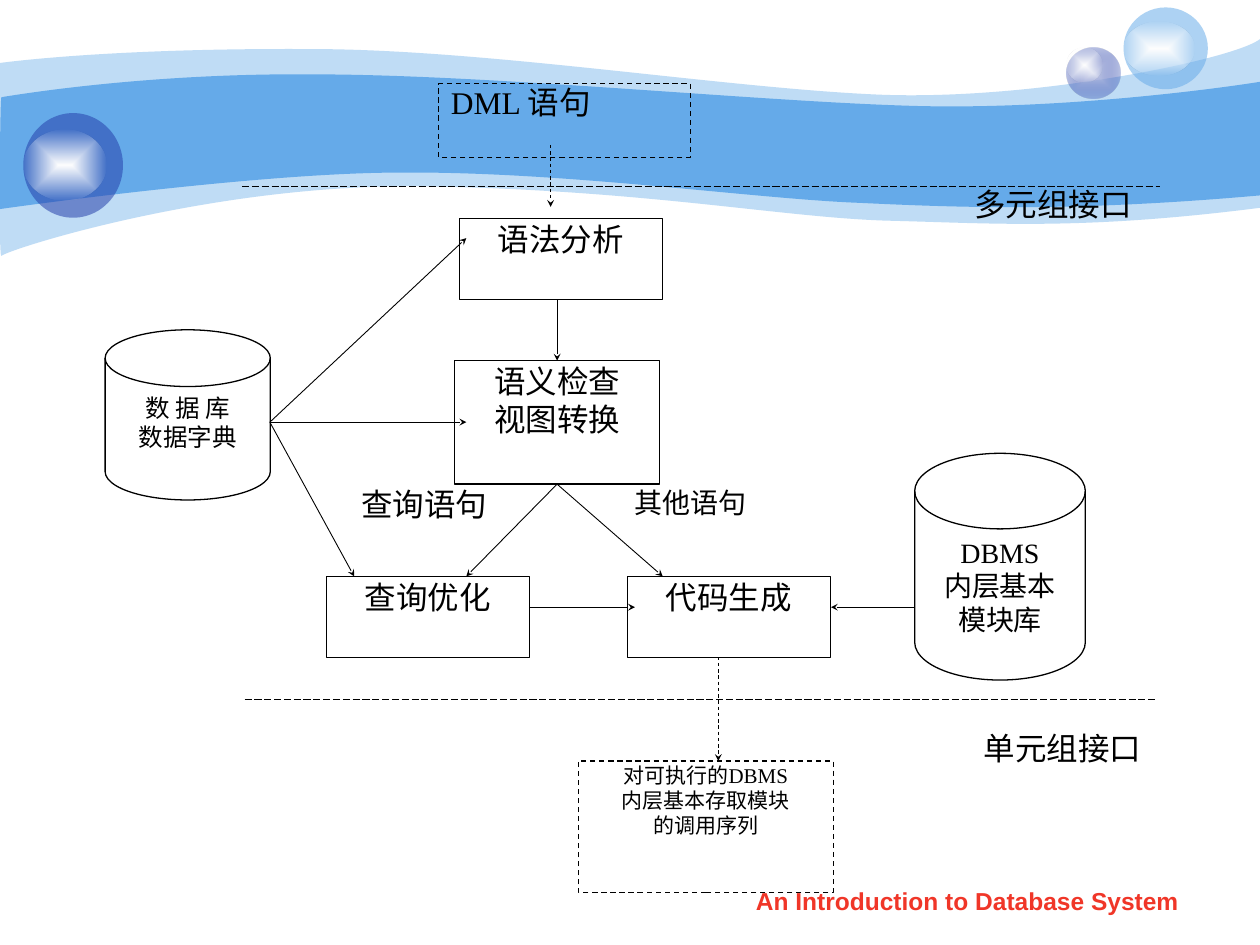
import pptx
import pptx.dml.color
import pptx.enum.dml
import pptx.enum.shapes
import pptx.enum.text
import pptx.oxml
import pptx.oxml.ns
import pptx.util

Cm = pptx.util.Cm
Pt = pptx.util.Pt
qn = pptx.oxml.ns.qn
SHAPE = pptx.enum.shapes.MSO_SHAPE
DASH = pptx.enum.dml.MSO_LINE.DASH
LONG_DASH = pptx.enum.dml.MSO_LINE.LONG_DASH
CENTER = pptx.enum.text.PP_ALIGN.CENTER
JUSTIFY = pptx.enum.text.PP_ALIGN.JUSTIFY
NAMESPACE = pptx.oxml.ns.nsdecls("a")

BLACK, WHITE, SKY, NAVY, RED = "000000", "FFFFFF", "65AAE9", "233DA9", "F03628"

OUTER_WAVE = [
    [(0, 1.27)],
    [(0.61, 1.19), (2.72, 0.97), (6.27, 0.99)],
    [(9.8, 0.99), (14.61, 1.78), (17.75, 1.91)],
    [(20.88, 2.03), (24.89, 1.19), (25.4, 0.79)],
    [(25.4, 4.19)],
    [(21.79, 4.65), (19.99, 4.5), (17.91, 4.45)],
    [(15.8, 4.39), (13.08, 3.84), (8.71, 3.76)],
    [(4.37, 3.66), (0.1, 5.05), (0.03, 5.16)],
    [(-0.03, 5.28), (0, 1.91), (0, 1.27)],
]
INNER_WAVE = [
    [(0.03, 1.96)],
    [(0.05, 1.96), (2.79, 1.47), (6.3, 1.5)],
    [(9.8, 1.5), (15.11, 2.03), (18.24, 2.13)],
    [(21.36, 2.24), (24.79, 1.75), (25.4, 1.65)],
    [(25.4, 3.94)],
    [(21.67, 4.27), (19.43, 4.19), (17.32, 4.09)],
    [(15.21, 4.01), (11.35, 3.45), (8.05, 3.48)],
    [(5.16, 3.48), (-0.05, 4.22), (-0.03, 4.22)],
    [(0, 4.22), (0, 1.96), (0.03, 1.96)],
]


def rgb(color):
    return pptx.dml.color.RGBColor.from_string(color)


def apply_format(target, values):
    for name, value in values.items():
        setattr(target, name, value)


def fill_solid(shape, color, opacity=100):
    shape.fill.solid()
    shape.fill.fore_color.rgb = rgb(color)
    if opacity < 100:
        tint = shape._element.spPr.find(qn("a:solidFill")).find(qn("a:srgbClr"))
        tint.append(pptx.oxml.parse_xml(f'<a:alpha {NAMESPACE} val="{opacity * 1000}"/>'))


def fill_glow(shape, center, edge, edge_opacity):
    glow = pptx.oxml.parse_xml(
        f'<a:gradFill {NAMESPACE} rotWithShape="1"><a:gsLst>'
        f'<a:gs pos="0"><a:srgbClr val="{center}"/></a:gs>'
        f'<a:gs pos="100000"><a:srgbClr val="{edge}">'
        f'<a:alpha val="{edge_opacity * 1000}"/></a:srgbClr></a:gs></a:gsLst>'
        '<a:path path="rect"><a:fillToRect l="50000" t="50000" r="50000" b="50000"/>'
        '</a:path></a:gradFill>')
    shape._element.spPr.find(qn("a:prstGeom")).addnext(glow)


def add_wave(slide, segments, opacity=100):
    anchors = [(Cm(x), Cm(y)) for x, y in (segment[-1] for segment in segments)]
    builder = slide.shapes.build_freeform(*anchors[0])
    builder.add_line_segments(anchors[1:], close=True)
    wave = builder.convert_to_shape()
    edges = list(wave._element.iter(qn("a:lnTo")))
    for edge, segment in zip(edges, segments[1:]):
        if len(segment) == 3:
            points = "".join(f'<a:pt x="{Cm(x) - wave.left}" y="{Cm(y) - wave.top}"/>'
                             for x, y in segment)
            curve = pptx.oxml.parse_xml(
                f"<a:cubicBezTo {NAMESPACE}>{points}</a:cubicBezTo>")
            edge.getparent().replace(edge, curve)
    fill_solid(wave, SKY, opacity)
    wave.line.fill.background()
    wave.shadow.inherit = False


def add_disc(group, place):
    disc = group.shapes.add_shape(SHAPE.OVAL, *map(Cm, place))
    disc.line.fill.background()
    disc.shadow.inherit = False
    return disc


def add_sphere(slide, ball, highlight, color, opacity, center=None):
    group = slide.shapes.add_group_shape()
    disc = add_disc(group, ball)
    if center:
        fill_glow(disc, center, color, opacity)
    else:
        fill_solid(disc, color, opacity)
    fill_glow(add_disc(group, highlight), WHITE, "FEFEFE", 0)


def write_text(shape, lines, size, align=CENTER, spacing=None, inset=0.03,
               font="Times New Roman", color=BLACK, bold=False):
    frame = shape.text_frame
    apply_format(frame, {
        "word_wrap": True, "vertical_anchor": pptx.enum.text.MSO_ANCHOR.TOP,
        "margin_left": Cm(0.25), "margin_right": Cm(0.25),
        "margin_top": Cm(inset), "margin_bottom": Cm(inset)})
    frame.text = "\n".join(lines)
    for paragraph in frame.paragraphs:
        apply_format(paragraph, {"alignment": align, "line_spacing": spacing})
        apply_format(paragraph.runs[0].font, {"name": font, "size": Pt(size), "bold": bold})
        paragraph.runs[0].font.color.rgb = rgb(color)


def add_node(group, place, lines, size=18, kind=SHAPE.RECTANGLE, fill=WHITE,
             line=BLACK, dash=None, **text):
    node = group.shapes.add_shape(kind, *map(Cm, place))
    node.shadow.inherit = False
    if fill:
        fill_solid(node, fill)
    else:
        node.fill.background()
    if line:
        node.line.color.rgb = rgb(line)
        apply_format(node.line, {"width": Pt(0.75), "dash_style": dash})
    else:
        node.line.fill.background()
    write_text(node, lines, size, **text)
    return node


def add_caption(parent, place, lines, size, **text):
    write_text(parent.shapes.add_textbox(*map(Cm, place)), lines, size, **text)


def add_link(group, start, end, dash=None, arrow=True):
    link = group.shapes.add_connector(
        pptx.enum.shapes.MSO_CONNECTOR.STRAIGHT, *map(Cm, start + end))
    link.line.color.rgb = rgb(BLACK)
    apply_format(link.line, {"width": Pt(0.5), "dash_style": dash})
    if arrow:
        link._element.spPr.find(qn("a:ln")).append(pptx.oxml.parse_xml(
            f'<a:tailEnd {NAMESPACE} type="stealth" w="sm" len="sm"/>'))
    link._element.spPr.append(pptx.oxml.parse_xml(f"<a:effectLst {NAMESPACE}/>"))
    return link


def add_background(slide):
    add_wave(slide, OUTER_WAVE, 41)
    add_wave(slide, INNER_WAVE)
    add_sphere(slide, (21.51, 0.97, 1.07, 1.02), (21.51, 0.97, 0.71, 0.69),
               NAVY, 31, "C6CCE8")
    add_sphere(slide, (22.65, 0.15, 1.7, 1.65), (22.65, 0.43, 1.42, 1.09), SKY, 53)
    add_sphere(slide, (0.47, 2.28, 2.01, 2.11), (0.47, 2.62, 1.68, 1.42), NAVY, 53)


def add_flow(slide):
    flow = slide.shapes.add_group_shape()
    add_node(flow, (12.22, 9.75, 3.4, 1.63), ["其他语句"], 16, line=None)
    add_node(flow, (6.57, 9.75, 3.96, 1.63), ["查询语句"], line=None)
    add_node(flow, (8.84, 1.69, 5.08, 1.48), ["DML 语句"], fill=None, dash=DASH,
             align=JUSTIFY, spacing=0.96)
    step_size = (4.09, 1.63)
    add_node(flow, (9.26, 4.41) + step_size, ["语法分析"])
    semantics = add_node(flow, (9.16, 7.27, 4.14, 2.49), ["语义检查", "视图转换"])
    add_link(flow, (4.88, 3.76), (23.39, 3.76), LONG_DASH, arrow=False)
    store = {"kind": SHAPE.FLOWCHART_MAGNETIC_DISK, "inset": 0.13}
    add_node(flow, (2.12, 6.65, 3.33, 3.43), ["数 据 库", "数据字典"], 14, **store)
    add_node(flow, (18.44, 9.14, 3.44, 4.57), ["DBMS", "内层基本", "模块库"], 16, **store)
    add_link(flow, (4.93, 14.1), (23.29, 14.1), LONG_DASH, arrow=False)
    add_link(flow, (18.44, 12.24), (16.75, 12.24))
    dictionary_exit = (5.44, 8.51)
    for target in [(9.4, 8.51), (9.4, 4.8)]:
        add_link(flow, dictionary_exit, target)
    add_node(flow, (19.58, 14.71, 4.52, 1.57), ["单元组接口"], line=WHITE,
             align=JUSTIFY, spacing=0.96)
    add_node(flow, (11.66, 15.34, 5.14, 2.65),
             ["对可执行的DBMS", "内层基本存取模块", "的调用序列"], 12, dash=DASH)
    add_caption(flow, (19.39, 3.71, 4.75, 1.73), ["多元组接口"], 18, align=JUSTIFY)
    add_link(flow, (11.23, 6.04), (11.23, 7.27)).end_connect(semantics, 0)
    semantics_exit = (11.23, 9.76)
    add_link(flow, semantics_exit, (9.4, 11.62)).begin_connect(semantics, 2)
    add_link(flow, (14.48, 13.11), (14.48, 15.34), DASH)
    for left, name in [(6.58, "查询优化"), (12.65, "代码生成")]:
        add_node(flow, (left, 11.62) + step_size, [name])
    add_link(flow, semantics_exit, (13.36, 11.62)).begin_connect(semantics, 2)
    add_link(flow, (10.67, 12.24), (12.8, 12.24))
    add_link(flow, dictionary_exit, (7.14, 11.62))
    add_link(flow, (11.1, 2.92), (11.1, 4.17), DASH)


def main():
    deck = pptx.Presentation()
    apply_format(deck, {"slide_width": Cm(25.4), "slide_height": Cm(19.05)})
    slide = deck.slides.add_slide(deck.slide_layouts[6])
    add_background(slide)
    add_flow(slide)
    add_caption(slide, (14.5, 17.73, 10.01, 0.89), ["An Introduction to Database System"],
                14, inset=0.13, font="Arial", color=RED, bold=True)
    deck.save("out.pptx")


if __name__ == "__main__":
    main()
